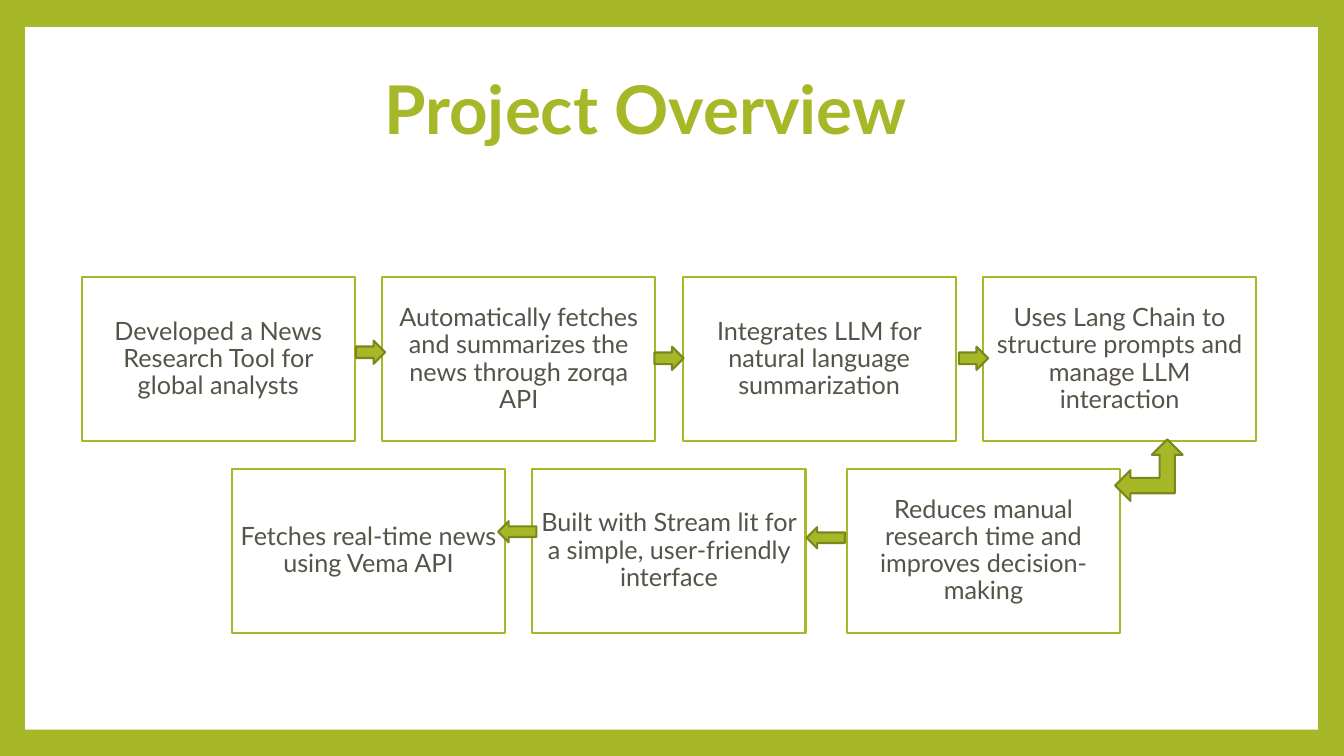
from pptx import Presentation
from pptx import util as u
from pptx.dml.color import RGBColor
from pptx.enum import shapes, text

# Content
TITLE = "Project Overview"
TOP_STEPS = [
    "Developed a News Research Tool for global analysts",
    "Automatically fetches and summarizes the news through zorqa API",
    "Integrates LLM for natural language summarization",
    "Uses Lang Chain to structure prompts and manage LLM interaction",
]
BOTTOM_STEPS = [
    (2.30, "Fetches real-time news using Vema API"),
    (5.28, "Built with Stream lit for a simple, user-friendly interface"),
    (8.40, "Reduces manual research time and improves decision-making"),
]
KINDS = shapes.MSO_SHAPE
ARROWS = [
    (KINDS.RIGHT_ARROW, 3.53, 3.38, 0.29, 0.23),
    (KINDS.RIGHT_ARROW, 6.49, 3.44, 0.29, 0.23),
    (KINDS.RIGHT_ARROW, 9.51, 3.44, 0.29, 0.23),
    (KINDS.LEFT_ARROW, 8.00, 5.23, 0.38, 0.21),
    (KINDS.LEFT_ARROW, 4.94, 5.17, 0.38, 0.21),
    (KINDS.LEFT_UP_ARROW, 11.06, 4.36, 0.67, 0.61),
]

# Format
GREEN, DARK_GREEN, GREY, WHITE = "A6B727", "7B871D", "565349", "FFFFFF"
BOX_WIDTH, BOX_HEIGHT = 2.71, 1.63
TOP_LEFT, TOP_ROW, BOTTOM_ROW, STEP_PITCH = 0.81, 2.75, 4.65, 2.98
TITLE_FONT = {"name": "Lato", "size": u.Pt(48), "bold": True}
STEP_FONT = {"name": "Lato", "size": u.Pt(18), "bold": False}
STEP_FRAME = {side: u.Inches(0.07) for side in
              ("margin_left", "margin_top", "margin_right", "margin_bottom")}


def color(value):
    return RGBColor.from_string(value)


def set_attributes(target, values):
    for name, value in values.items():
        setattr(target, name, value)


def write_text(shape, wording, font, font_color, frame_format):
    frame = shape.text_frame
    frame.text = wording
    set_attributes(frame, {"word_wrap": True, "auto_size": text.MSO_AUTO_SIZE.NONE,
                           "vertical_anchor": text.MSO_ANCHOR.MIDDLE, **frame_format})
    paragraph = frame.paragraphs[0]
    paragraph.alignment = text.PP_ALIGN.CENTER
    paragraph.line_spacing = 0.9
    set_attributes(paragraph.runs[0].font, font)
    paragraph.runs[0].font.color.rgb = color(font_color)


def add_shape(slide, kind, place, fill=None, line=None):
    shape = slide.shapes.add_shape(kind, *map(u.Inches, place))
    shape.shadow.inherit = False
    if fill:
        shape.fill.solid()
        shape.fill.fore_color.rgb = color(fill)
    else:
        shape.fill.background()
    if line:
        shape.line.color.rgb = color(line)
        shape.line.width = u.Pt(1.5)
    else:
        shape.line.fill.background()
    return shape


def main():
    presentation = Presentation()
    presentation.slide_width = u.Inches(13.33)
    presentation.slide_height = u.Inches(7.5)
    slide = presentation.slides.add_slide(presentation.slide_layouts[5])

    # Green frame around a white panel, which lies behind the title
    slide.background.fill.solid()
    slide.background.fill.fore_color.rgb = color(GREEN)
    panel = add_shape(slide, KINDS.RECTANGLE, (0.25, 0.27, 12.82, 6.97), WHITE)
    title = slide.shapes.title
    title._element.addprevious(panel._element)

    # Title
    set_attributes(title, {"left": u.Inches(2.94), "top": u.Inches(0.83),
                           "width": u.Inches(6.92), "height": u.Inches(0.58)})
    write_text(title, TITLE, TITLE_FONT, GREEN, {})

    # Step boxes
    steps = [(TOP_LEFT + index * STEP_PITCH, TOP_ROW, wording)
             for index, wording in enumerate(TOP_STEPS)]
    steps += [(left, BOTTOM_ROW, wording) for left, wording in BOTTOM_STEPS]
    for left, top, wording in steps:
        box = add_shape(slide, KINDS.RECTANGLE,
                        (left, top, BOX_WIDTH, BOX_HEIGHT), line=GREEN)
        write_text(box, wording, STEP_FONT, GREY, STEP_FRAME)

    # Arrows between the steps
    for kind, *place in ARROWS:
        add_shape(slide, kind, place, GREEN, DARK_GREEN)

    presentation.save("out.pptx")


if __name__ == "__main__":
    main()
